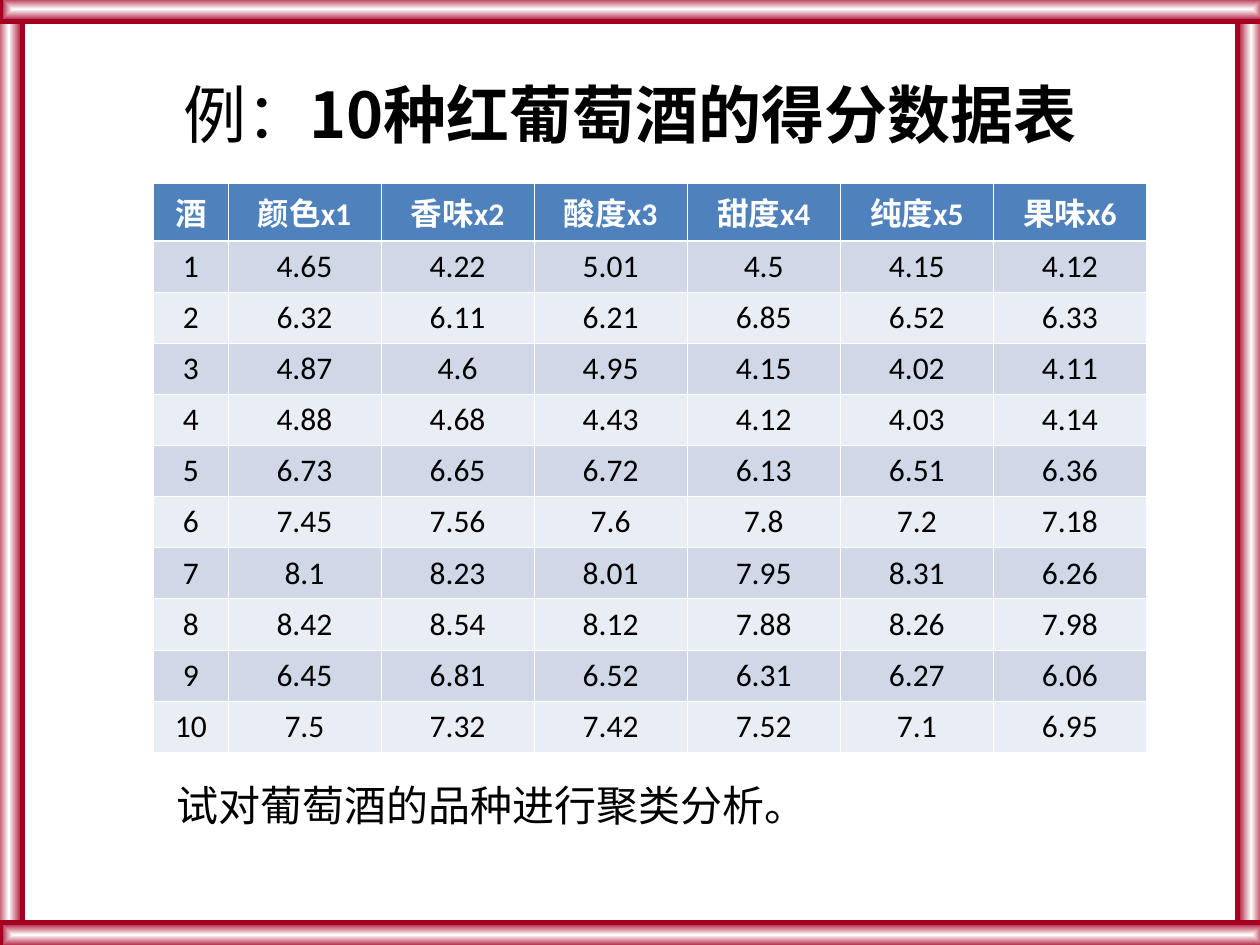
from dataclasses import dataclass

from lxml.etree import SubElement
from pptx import Presentation
from pptx.dml.color import RGBColor as RGB
from pptx.enum.shapes import MSO_SHAPE
from pptx.enum.text import MSO_ANCHOR, PP_ALIGN
from pptx.oxml import parse_xml
from pptx.oxml.ns import nsdecls, qn
from pptx.util import Pt


@dataclass(frozen=True)
class Theme:
    black: RGB = RGB(0, 0, 0)
    white: RGB = RGB(255, 255, 255)
    crimson: RGB = RGB(0xA5, 0x00, 0x21)
    header: RGB = RGB(0x4F, 0x81, 0xBD)
    bands: tuple = (RGB(0xD0, 0xD8, 0xE8), RGB(0xE9, 0xED, 0xF4))
    title_size: Pt = Pt(36)
    note_size: Pt = Pt(24)
    table_size: Pt = Pt(18)
    serif: str = "Times New Roman"
    sans: str = "Calibri"
    chinese: str = "Noto Sans CJK SC"
    thin: Pt = Pt(0.45)
    thick: Pt = Pt(1.47)


THEME = Theme()

FRAME_BARS = [
    (707, -2, 16, 540),
    (-3, 0, 16, 540),
    (0, -2, 723, 14.5),
    (0, 527, 723, 14.5),
]

HEADINGS = ["酒", "颜色x1", "香味x2", "酸度x3", "甜度x4", "纯度x5", "果味x6"]
SCORES = [
    (4.65, 4.22, 5.01, 4.5, 4.15, 4.12),
    (6.32, 6.11, 6.21, 6.85, 6.52, 6.33),
    (4.87, 4.6, 4.95, 4.15, 4.02, 4.11),
    (4.88, 4.68, 4.43, 4.12, 4.03, 4.14),
    (6.73, 6.65, 6.72, 6.13, 6.51, 6.36),
    (7.45, 7.56, 7.6, 7.8, 7.2, 7.18),
    (8.1, 8.23, 8.01, 7.95, 8.31, 6.26),
    (8.42, 8.54, 8.12, 7.88, 8.26, 7.98),
    (6.45, 6.81, 6.52, 6.31, 6.27, 6.06),
    (7.5, 7.32, 7.42, 7.52, 7.1, 6.95),
]


def points(*lengths):
    return [Pt(length) for length in lengths]


def add_text(paragraph, text, color=THEME.black, **font_format):
    """Append a run with the given font values and the Chinese typeface."""
    run = paragraph.add_run()
    run.text = text
    run.font.color.rgb = color
    for attribute, value in font_format.items():
        setattr(run.font, attribute, value)
    east_asian = SubElement(run.font._element, qn("a:ea"))
    east_asian.set("typeface", THEME.chinese)


def fill_from_centre(shape, centre, edge):
    """Fill with a rectangular gradient running from the centre outwards."""
    shape.fill.gradient()
    for stop, color in zip(shape.fill.gradient_stops, (centre, edge)):
        stop.color.rgb = color
    linear = shape._element.spPr.find(qn("a:gradFill")).find(qn("a:lin"))
    linear.getparent().replace(linear, parse_xml(
        f'<a:path {nsdecls("a")} path="rect">'
        '<a:fillToRect l="50000" t="50000" r="50000" b="50000"/></a:path>'))


def add_frame(slide):
    frame = slide.shapes.add_group_shape()
    for bounds in FRAME_BARS:
        bar = frame.shapes.add_shape(MSO_SHAPE.RECTANGLE, *points(*bounds))
        bar.shadow.inherit = False
        fill_from_centre(bar, THEME.white, THEME.crimson)
        bar.line.color.rgb = THEME.crimson
        bar.line.width = Pt(3)


def set_title(slide):
    title = slide.shapes.title
    title.left, title.top, title.width, title.height = points(36, 39.6, 648, 50.4)
    title.text_frame.vertical_anchor = MSO_ANCHOR.MIDDLE
    paragraph = title.text_frame.paragraphs[0]
    paragraph.alignment = PP_ALIGN.CENTER
    add_text(paragraph, "例：", size=THEME.title_size, name=THEME.serif)
    add_text(paragraph, "10种红葡萄酒的得分数据表",
             size=THEME.title_size, name=THEME.chinese, bold=True)


def set_borders(cell, widths):
    """Draw white borders; widths run left, right, top, bottom."""
    properties = cell._tc.get_or_add_tcPr()
    for position, (side, width) in enumerate(zip("LRTB", widths)):
        properties.insert(position, parse_xml(
            f'<a:ln{side} {nsdecls("a")} w="{width}"><a:solidFill>'
            f'<a:srgbClr val="{THEME.white}"/></a:solidFill></a:ln{side}>'))


def add_score_table(slide):
    rows = [HEADINGS] + [(wine, *row) for wine, row in enumerate(SCORES, 1)]
    table = slide.shapes.add_table(
        len(rows), len(HEADINGS), *points(87.75, 104.5, 567.5, 318)).table
    table.horz_banding = False
    for index, column in enumerate(table.columns):
        column.width = Pt(87.5 if index else 42.5)
    for r, row in enumerate(rows):
        is_header = r == 0
        table.rows[r].height = Pt(28.9)
        top = THEME.thick if r == 1 else THEME.thin
        bottom = THEME.thick if is_header else THEME.thin
        for c, value in enumerate(row):
            cell = table.cell(r, c)
            cell.fill.solid()
            cell.fill.fore_color.rgb = (
                THEME.header if is_header else THEME.bands[(r - 1) % 2])
            set_borders(cell, (THEME.thin, THEME.thin, top, bottom))
            paragraph = cell.text_frame.paragraphs[0]
            paragraph.alignment = PP_ALIGN.CENTER
            add_text(paragraph, str(value),
                     THEME.white if is_header else THEME.black,
                     size=THEME.table_size, name=THEME.sans, bold=is_header)


def add_task_note(slide):
    note = slide.shapes.add_textbox(*points(93.6, 442, 481, 36)).text_frame
    note.word_wrap = True
    add_text(note.paragraphs[0], "试对葡萄酒的品种进行聚类分析。",
             size=THEME.note_size, name=THEME.serif)


def main():
    deck = Presentation()
    deck.slide_width, deck.slide_height = points(720, 540)
    slide = deck.slides.add_slide(deck.slide_layouts.get_by_name("Title Only"))
    add_frame(slide)
    set_title(slide)
    add_score_table(slide)
    add_task_note(slide)
    deck.save("out.pptx")


if __name__ == "__main__":
    main()
